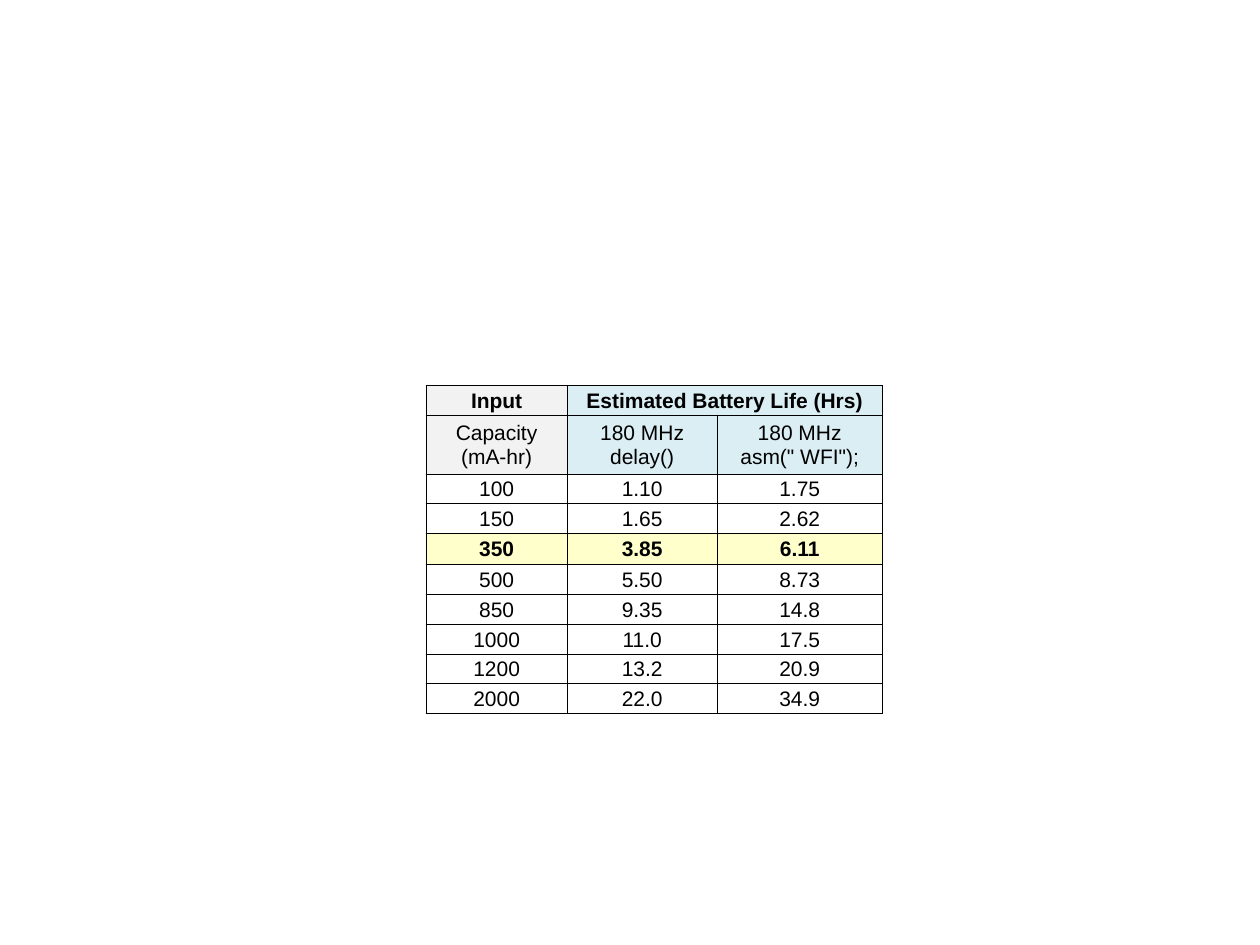
"""Builds a slide with a table of estimated battery life by capacity."""
from dataclasses import dataclass

from lxml import etree
from pptx import Presentation
from pptx.dml.color import RGBColor
from pptx.enum.text import MSO_ANCHOR, PP_ALIGN
from pptx.oxml.ns import qn
from pptx.table import Table, _Cell
from pptx.util import Pt


@dataclass(frozen=True)
class Theme:
    """Colours and type of the slide."""
    font: str = "Arial"
    size: float = 12
    text: str = "000000"
    border: str = "000000"
    border_width: float = 0.5
    input_fill: str = "F2F2F2"
    estimate_fill: str = "DAEEF3"
    plain_fill: str = "FFFFFF"
    highlight_fill: str = "FFFFCC"


@dataclass(frozen=True)
class TableRow:
    """Texts of one row, its cell fills and its look."""
    texts: tuple[str, ...]
    fills: tuple[str, ...]
    height: float
    bold: bool = False


THEME = Theme()
LEFT, TOP = 243.5, 220.1
COLUMN_WIDTHS = (80.6, 85.8, 94.3)
ROW_HEIGHT, TALL_ROW_HEIGHT = 17, 17.5
HEADER_FILLS = (THEME.input_fill, THEME.estimate_fill, THEME.estimate_fill)
HIGHLIGHTED = "350"
TALL_ROWS = ("350", "500")
BATTERY_LIFE = (
    ("100", "1.10", "1.75"),
    ("150", "1.65", "2.62"),
    ("350", "3.85", "6.11"),
    ("500", "5.50", "8.73"),
    ("850", "9.35", "14.8"),
    ("1000", "11.0", "17.5"),
    ("1200", "13.2", "20.9"),
    ("2000", "22.0", "34.9"),
)


def data_row(values: tuple[str, ...]) -> TableRow:
    """Make a value row, marked if it is the highlighted capacity."""
    capacity = values[0]
    marked = capacity == HIGHLIGHTED
    fill = THEME.highlight_fill if marked else THEME.plain_fill
    height = TALL_ROW_HEIGHT if capacity in TALL_ROWS else ROW_HEIGHT
    return TableRow(values, (fill,) * len(values), height, bold=marked)


ROWS = (
    TableRow(("Input", "Estimated Battery Life (Hrs)", ""), HEADER_FILLS, 17.1, bold=True),
    # A vertical tab is a line break inside one paragraph.
    TableRow(("Capacity\n(mA-hr)", "180 MHz\vdelay()", '180 MHz\vasm(" WFI");'),
             HEADER_FILLS, 33.7),
    *map(data_row, BATTERY_LIFE),
)


def add_borders(cell: _Cell) -> None:
    """Draw a thin line on all four sides of a cell."""
    properties = cell._tc.get_or_add_tcPr()
    for side in ("a:lnL", "a:lnR", "a:lnT", "a:lnB"):
        line = etree.SubElement(properties, qn(side), w=str(Pt(THEME.border_width)))
        fill = etree.SubElement(line, qn("a:solidFill"))
        etree.SubElement(fill, qn("a:srgbClr"), val=THEME.border)


def fill_cell(cell: _Cell, text: str, fill: str, bold: bool) -> None:
    """Write and format one cell."""
    cell.fill.solid()
    cell.fill.fore_color.rgb = RGBColor.from_string(fill)
    cell.vertical_anchor = MSO_ANCHOR.MIDDLE
    cell.margin_left = cell.margin_right = cell.margin_top = Pt(0.75)
    cell.margin_bottom = Pt(0)
    cell.text_frame.text = text
    for paragraph in cell.text_frame.paragraphs:
        paragraph.alignment = PP_ALIGN.CENTER
        for run in paragraph.runs:
            run.font.name = THEME.font
            run.font.size = Pt(THEME.size)
            run.font.bold = bold
            run.font.color.rgb = RGBColor.from_string(THEME.text)


def fill_table(table: Table) -> None:
    """Size the grid and fill every row."""
    table.first_row = table.horz_banding = False
    for column, width in zip(table.columns, COLUMN_WIDTHS):
        column.width = Pt(width)
    table.cell(0, 1).merge(table.cell(0, 2))
    for grid_row, row in zip(table.rows, ROWS):
        grid_row.height = Pt(row.height)
        for cell, text, fill in zip(grid_row.cells, row.texts, row.fills):
            add_borders(cell)
            if not cell.is_spanned:
                fill_cell(cell, text, fill, row.bold)


def main() -> None:
    """Build and save the slide."""
    deck = Presentation()
    deck.slide_width, deck.slide_height = Pt(720), Pt(540)
    slide = deck.slides.add_slide(deck.slide_layouts[6])
    frame = slide.shapes.add_table(
        len(ROWS), len(COLUMN_WIDTHS), Pt(LEFT), Pt(TOP),
        Pt(sum(COLUMN_WIDTHS)), Pt(sum(row.height for row in ROWS)))
    fill_table(frame.table)
    deck.save("out.pptx")


main()
